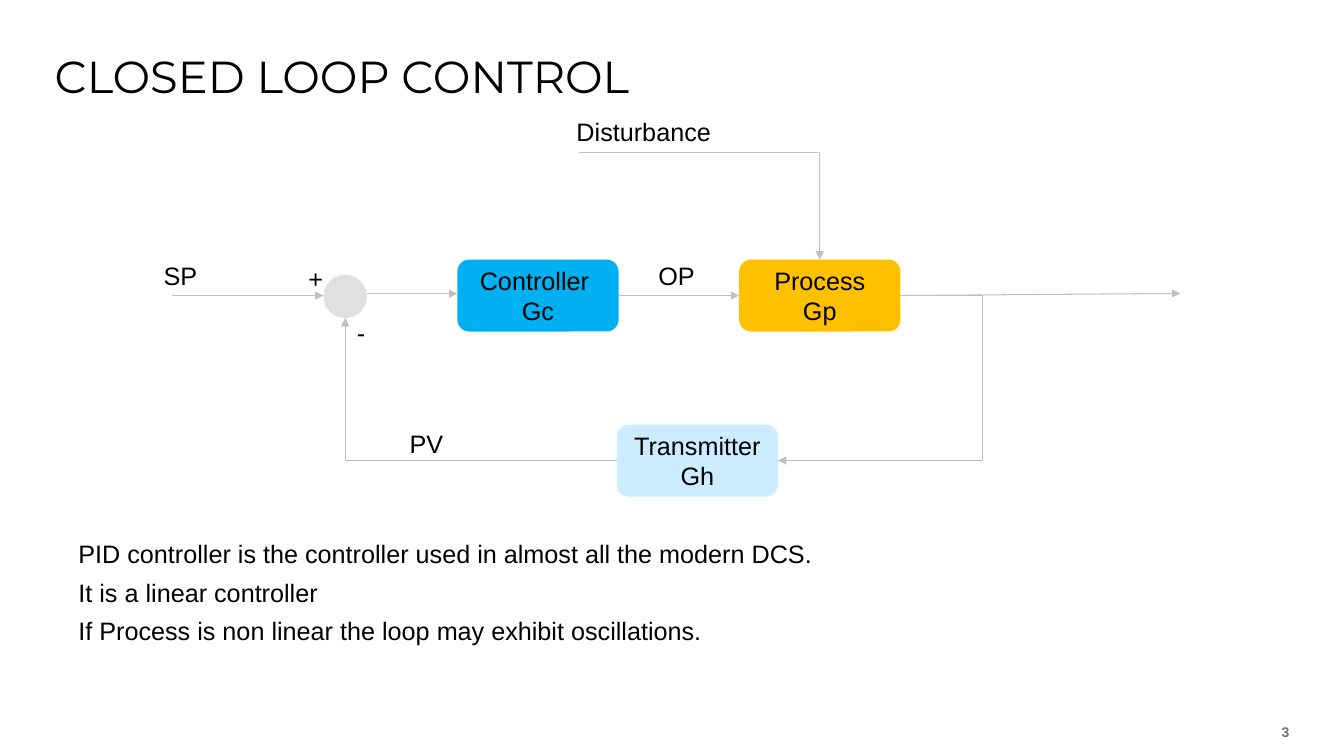
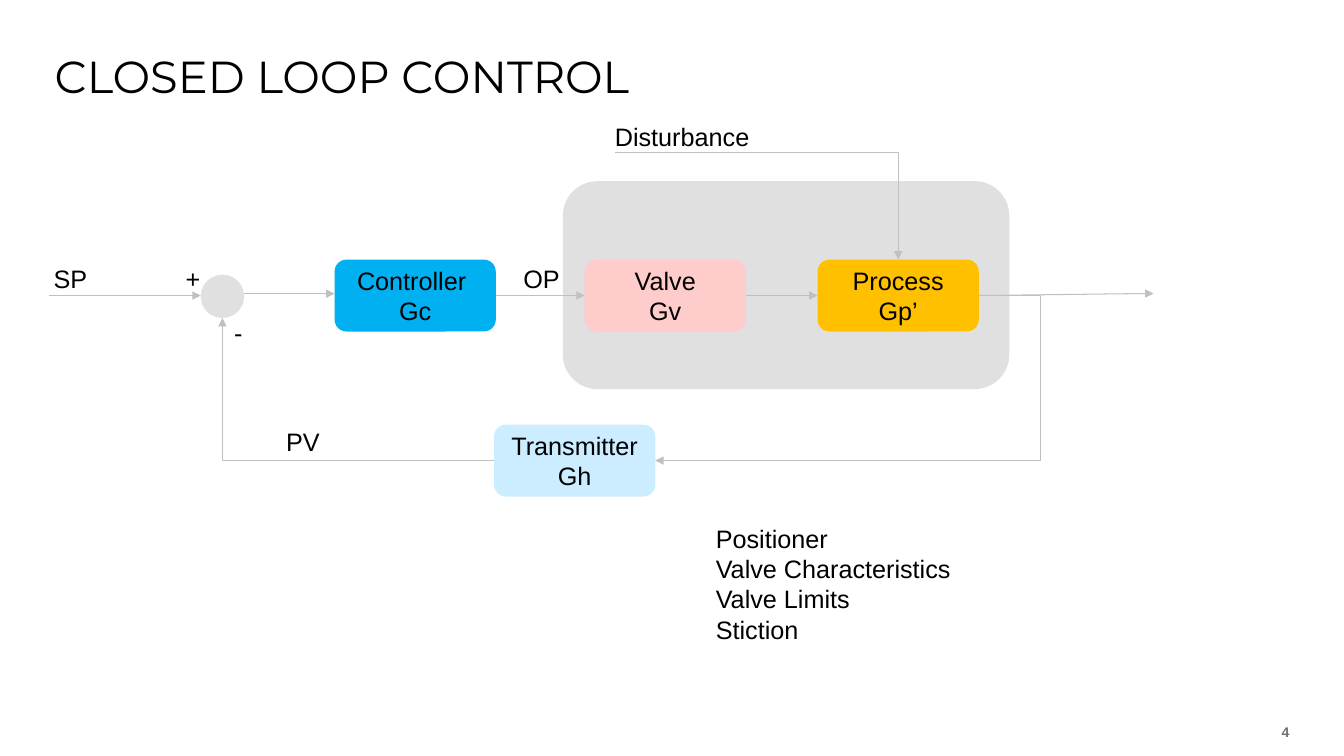
from itertools import pairwise

from lxml.etree import SubElement
from pptx import Presentation
from pptx.dml.color import RGBColor
from pptx.enum.shapes import MSO_CONNECTOR, MSO_SHAPE
from pptx.enum.text import MSO_ANCHOR, MSO_AUTO_SIZE, PP_ALIGN
from pptx.oxml.ns import qn
from pptx.util import Pt

COLORS = {
    "text": "000000",
    "number": "707070",
    "line": "C0C0C0",
    "grey": "E0E0E0",
    "controller": "00B0F0",
    "process": "FFC000",
    "transmitter": "CCECFF",
    "valve": "FFCCCC",
}
TITLE_FONT, BODY_FONT = "Montserrat", "Arial"
NODE_WIDTH, NODE_HEIGHT, SUM_SIZE = 115.2, 51.4, 31
NODE_TOP, TRANSMITTER_TOP, SUM_TOP = 185.4, 303.3, 196.2
SIGNAL_Y = NODE_TOP + NODE_HEIGHT / 2
FEEDBACK_Y = TRANSMITTER_TOP + NODE_HEIGHT / 2
DISTURBANCE_Y = 109
SUM_TO_CONTROLLER, SUM_TO_TRANSMITTER = 95.6, 209.5
LABEL_WIDTH, LABEL_HEIGHT = 98, 31

SLIDES = [
    {
        "title": "CLOSED LOOP CONTROL",
        "number": "3",
        "sum_left": 231.1,
        "forward": [("process", 528, ["Process", "Gp"])],
        "panel": None,
        "branch_x": 702,
        "output_x": 843,
        "disturbance_x": 413.5,
        "labels": [("SP", 116.9, 185.8), ("OP", 470.3, 185.8), ("PV", 292.5, 306),
                   ("Disturbance", 411.8, 82.8)],
        "notes": (56, 384.5, 865, 102),
        "note_space": 6,
        "note_lines": [
            "PID controller is the controller used in almost all the modern DCS.",
            "It is a linear controller",
            "If Process is non linear the loop may exhibit oscillations.",
        ],
    },
    {
        "title": "CLOSED LOOP CONTROL",
        "number": "4",
        "sum_left": 143.4,
        "forward": [("valve", 417.6, ["Valve", "Gv"]),
                    ("process", 584, ["Process", "Gp’"])],
        "panel": (402, 129.4, 319, 148.5),
        "branch_x": 743.5,
        "output_x": 824,
        "disturbance_x": 439.2,
        "labels": [("SP", 38.3, 188), ("OP", 373.8, 188), ("PV", 204.4, 304.6),
                   ("Disturbance", 439.2, 86.4)],
        "notes": (511.3, 373.7, 294.5, 102),
        "note_space": 0,
        "note_lines": ["Positioner", "Valve Characteristics", "Valve Limits", "Stiction"],
    },
]


def color(name):
    return RGBColor.from_string(COLORS[name])


def points(*lengths):
    return [Pt(length) for length in lengths]


def write(shape, lines, size=18, font=BODY_FONT, ink="text", bold=False,
          align=PP_ALIGN.LEFT, anchor=MSO_ANCHOR.TOP, spacing=1.0, after=0):
    frame = shape.text_frame
    frame.word_wrap = True
    frame.auto_size = MSO_AUTO_SIZE.NONE
    frame.vertical_anchor = anchor
    frame.margin_left = frame.margin_right = frame.margin_top = frame.margin_bottom = 0
    for index, line in enumerate(lines):
        paragraph = frame.add_paragraph() if index else frame.paragraphs[0]
        paragraph.alignment = align
        paragraph.line_spacing = spacing
        paragraph.space_before = Pt(0)
        paragraph.space_after = Pt(after)
        run = paragraph.add_run()
        run.text = line
        run.font.name = font
        run.font.size = Pt(size)
        run.font.bold = bold
        run.font.color.rgb = color(ink)


def add_text(slide, box, lines, **style):
    write(slide.shapes.add_textbox(*points(*box)), lines, **style)


def add_block(slide, preset, box, fill, lines=()):
    shape = slide.shapes.add_shape(preset, *points(*box))
    shape.shadow.inherit = False
    shape.fill.solid()
    shape.fill.fore_color.rgb = color(fill)
    shape.line.fill.background()
    if lines:
        write(shape, lines, align=PP_ALIGN.CENTER, anchor=MSO_ANCHOR.MIDDLE)


def add_node(slide, fill, left, top, lines):
    add_block(slide, MSO_SHAPE.ROUNDED_RECTANGLE,
              (left, top, NODE_WIDTH, NODE_HEIGHT), fill, lines)


def add_arrow(slide, start, end, kind=MSO_CONNECTOR.STRAIGHT):
    connector = slide.shapes.add_connector(kind, *points(*start, *end))
    connector.line.width = Pt(0.75)
    connector.line.color.rgb = color("line")
    SubElement(connector.line._get_or_add_ln(), qn("a:tailEnd"), type="triangle")
    SubElement(connector._element.spPr, qn("a:effectLst"))
    return connector


def add_elbow(slide, start, end, turn_x=None):
    connector = add_arrow(slide, start, end, MSO_CONNECTOR.ELBOW)
    geometry = connector._element.spPr.find(qn("a:prstGeom"))
    if turn_x is None:
        geometry.set("prst", "bentConnector2")
    else:
        ratio = (turn_x - start[0]) / (end[0] - start[0])
        SubElement(geometry.find(qn("a:avLst")), qn("a:gd"),
                   name="adj1", fmla=f"val {round(ratio * 100000)}")


def add_frame(slide, content):
    title = slide.shapes.title
    title.left, title.top, title.width, title.height = points(39, 39, 882, 33)
    write(title, [content["title"]], size=32, font=TITLE_FONT, spacing=0.9)
    add_text(slide, (882, 510.3, 39, 18.7), [content["number"]], size=10, ink="number",
             bold=True, align=PP_ALIGN.RIGHT, anchor=MSO_ANCHOR.BOTTOM)


def add_loop(slide, content):
    sum_left = content["sum_left"]
    sum_right = sum_left + SUM_SIZE
    sum_x = sum_left + SUM_SIZE / 2
    controller_left = sum_left + SUM_TO_CONTROLLER
    transmitter_left = sum_left + SUM_TO_TRANSMITTER
    forward = [("controller", controller_left, ["Controller ", "Gc"]), *content["forward"]]
    process_left = forward[-1][1]
    process_right = process_left + NODE_WIDTH
    process_x = process_left + NODE_WIDTH / 2

    if content["panel"]:
        add_block(slide, MSO_SHAPE.ROUNDED_RECTANGLE, content["panel"], "grey")
    add_block(slide, MSO_SHAPE.OVAL, (sum_left, SUM_TOP, SUM_SIZE, SUM_SIZE), "grey")
    for fill, left, lines in forward:
        add_node(slide, fill, left, NODE_TOP, lines)
    add_node(slide, "transmitter", transmitter_left, TRANSMITTER_TOP, ["Transmitter", "Gh"])

    add_arrow(slide, (sum_left - 108.3, SIGNAL_Y), (sum_left, SIGNAL_Y))
    add_arrow(slide, (sum_right, SIGNAL_Y - 1.3), (controller_left, SIGNAL_Y - 1.3))
    for source, target in pairwise(forward):
        add_arrow(slide, (source[1] + NODE_WIDTH, SIGNAL_Y), (target[1], SIGNAL_Y))
    add_arrow(slide, (process_right, SIGNAL_Y), (content["output_x"], SIGNAL_Y - 1.5))
    add_elbow(slide, (process_right, SIGNAL_Y),
              (transmitter_left + NODE_WIDTH, FEEDBACK_Y), content["branch_x"])
    add_elbow(slide, (transmitter_left, FEEDBACK_Y), (sum_x, SUM_TOP + SUM_SIZE))
    add_elbow(slide, (content["disturbance_x"], DISTURBANCE_Y), (process_x, NODE_TOP))

    sum_labels = [("+", sum_left - 10.8, 188.2), ("-", sum_left + 23.8, 227)]
    for text, left, top in sum_labels + content["labels"]:
        add_text(slide, (left, top, LABEL_WIDTH, LABEL_HEIGHT), [text])


def main():
    presentation = Presentation()
    presentation.slide_width, presentation.slide_height = points(960, 540)
    for content in SLIDES:
        slide = presentation.slides.add_slide(presentation.slide_layouts[5])
        add_frame(slide, content)
        add_loop(slide, content)
        add_text(slide, content["notes"], content["note_lines"],
                 after=content["note_space"])
    presentation.save("out.pptx")


if __name__ == "__main__":
    main()
